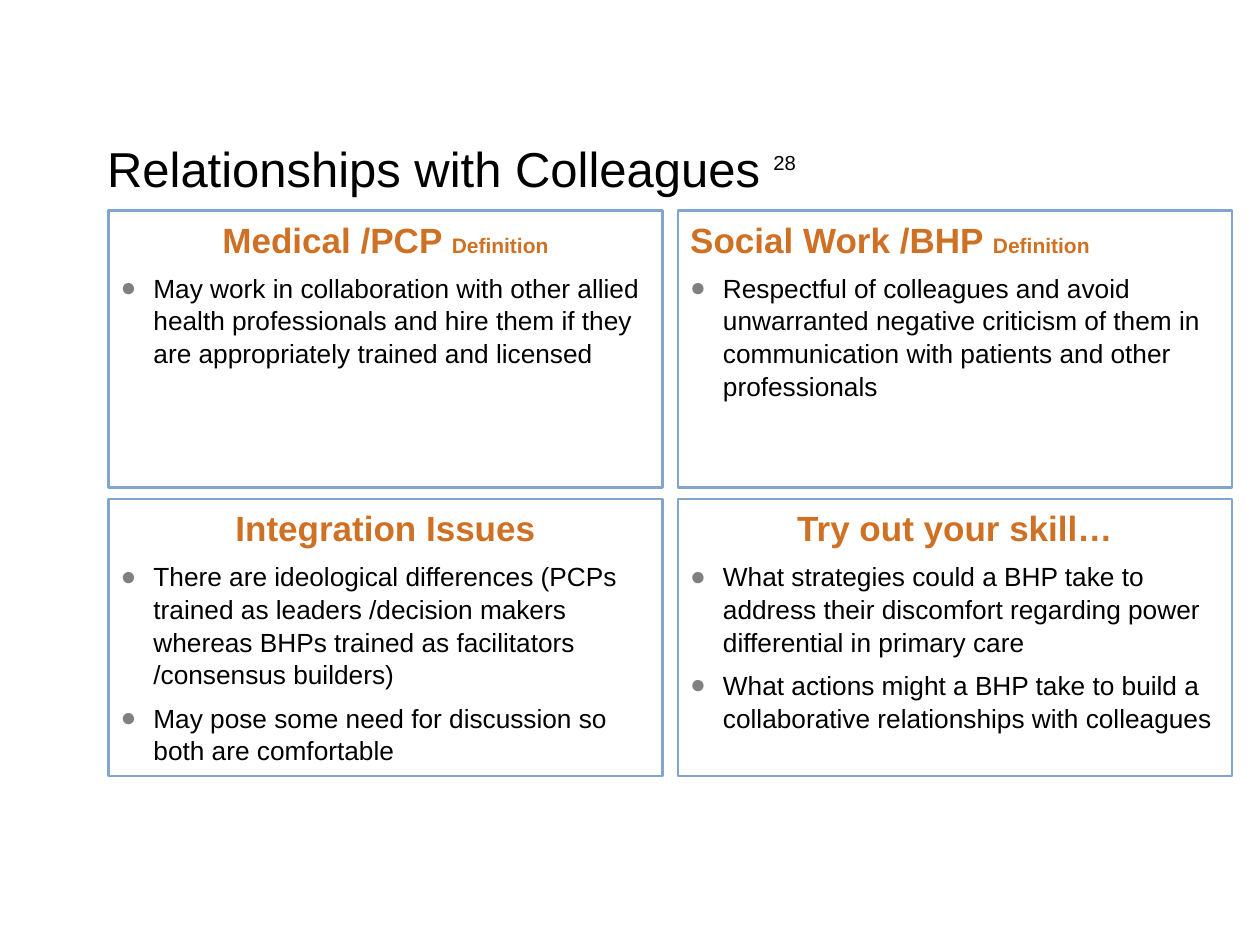
"""Build the Relationships with Colleagues slide with its four panels."""
from lxml import etree
from pptx import Presentation
from pptx.dml.color import RGBColor
from pptx.enum import shapes, text
from pptx.oxml.ns import qn
from pptx.util import Inches, Pt

BLACK = RGBColor(0x00, 0x00, 0x00)
ORANGE = RGBColor(0xCE, 0x71, 0x24)
BLUE = RGBColor(0x82, 0xA5, 0xD0)
GRAY = RGBColor(0x80, 0x80, 0x80)
FONT = "Arial"

TITLE = "Relationships with Colleagues "
REFERENCE = "28"
CENTER, LEFT = text.PP_ALIGN.CENTER, text.PP_ALIGN.LEFT
PANELS = [
    ("Medical /PCP ", "Definition", CENTER, [
        "May work in collaboration with other allied health professionals "
        "and hire them if they are appropriately trained and licensed"]),
    ("Social Work /BHP ", "Definition", LEFT, [
        "Respectful of colleagues and avoid unwarranted negative criticism "
        "of them in communication with patients and other professionals"]),
    ("Integration Issues", "", CENTER, [
        "There are ideological differences (PCPs trained as leaders "
        "/decision makers whereas BHPs trained as facilitators "
        "/consensus builders)",
        "May pose some need for discussion so both are comfortable"]),
    ("Try out your skill…", "", CENTER, [
        "What strategies could a BHP take to address their discomfort "
        "regarding power differential in primary care",
        "What actions might a BHP take to build a collaborative "
        "relationships with colleagues"]),
]
GRID_LEFT, GRID_TOP = 0.86, 1.67
PANEL_WIDTH, PANEL_HEIGHT = 4.4, 2.2
COLUMN_STEP, ROW_STEP = 4.52, 2.29


def write(paragraph, words, size, color=BLACK, bold=False, raised=None):
    run = paragraph.add_run()
    run.text = words
    run.font.name = FONT
    run.font.size = Pt(size)
    run.font.bold = bold
    run.font.color.rgb = color
    if raised:
        run.font._element.set("baseline", str(raised * 1000))


def add_bullet(paragraph, indent=0.26):
    properties = paragraph._p.get_or_add_pPr()
    properties.set("marL", str(Inches(indent)))
    properties.set("indent", str(-Inches(indent)))
    bullet_color = etree.SubElement(properties, qn("a:buClr"))
    etree.SubElement(bullet_color, qn("a:srgbClr"), val=str(GRAY))
    etree.SubElement(properties, qn("a:buFont"), typeface=FONT)
    etree.SubElement(properties, qn("a:buChar"), char="●")


def add_title(slide):
    title = slide.shapes.title
    title.left, title.top = Inches(0.75), Inches(1)
    title.width, title.height = Inches(8.75), Inches(0.92)
    frame = title.text_frame
    frame.vertical_anchor = text.MSO_ANCHOR.TOP
    frame.margin_top = Inches(0.1)
    heading = frame.paragraphs[0]
    heading.alignment = LEFT
    write(heading, TITLE, 28)
    write(heading, REFERENCE, 20, raised=50)


def add_panel(slide, index, name, suffix, alignment, points):
    row, column = divmod(index, 2)
    panel = slide.shapes.add_shape(
        shapes.MSO_SHAPE.RECTANGLE,
        Inches(GRID_LEFT + column * COLUMN_STEP),
        Inches(GRID_TOP + row * ROW_STEP),
        Inches(PANEL_WIDTH), Inches(PANEL_HEIGHT))
    panel.shadow.inherit = False
    panel.fill.background()
    panel.line.color.rgb = BLUE
    panel.line.width = Pt(1.5)
    frame = panel.text_frame
    frame.word_wrap = True
    frame.vertical_anchor = text.MSO_ANCHOR.TOP
    heading = frame.paragraphs[0]
    heading.alignment = alignment
    heading.line_spacing = 1.04
    write(heading, name, 20, color=ORANGE, bold=True)
    if suffix:
        write(heading, suffix, 12, color=ORANGE, bold=True)
    for point in points:
        item = frame.add_paragraph()
        item.alignment = LEFT
        item.line_spacing = 1.04
        item.space_before = Pt(6)
        add_bullet(item)
        write(item, point, 15)


def main():
    deck = Presentation()
    deck.slide_width, deck.slide_height = Inches(10), Inches(7.5)
    slide = deck.slides.add_slide(deck.slide_layouts[5])
    add_title(slide)
    for index, panel in enumerate(PANELS):
        add_panel(slide, index, *panel)
    deck.save("out.pptx")


if __name__ == "__main__":
    main()
